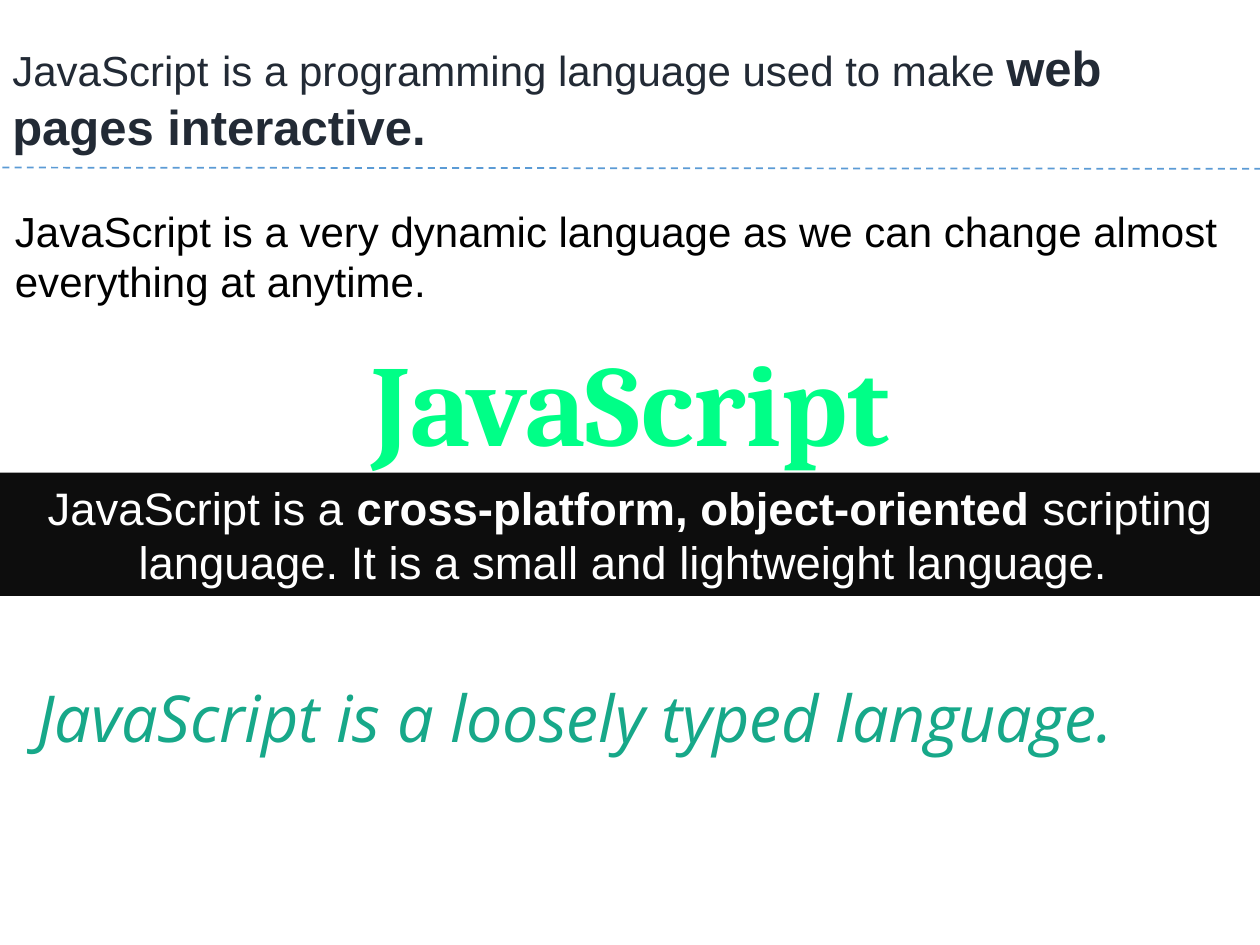
from pptx import Presentation
from pptx.dml.color import RGBColor
from pptx.enum.dml import MSO_LINE_DASH_STYLE as Dash
from pptx.enum.shapes import MSO_CONNECTOR as Connector, MSO_SHAPE as Shape
from pptx.enum.text import MSO_ANCHOR as Anchor, PP_ALIGN as Align
from pptx.oxml.ns import qn
from pptx.util import Inches, Pt
from lxml.etree import SubElement

COLUMNS, ROWS = 100, 75
WIDTH, HEIGHT = Inches(10), Inches(7.5)


def color(value):
    """Turn a hex string into a colour."""
    return RGBColor.from_string(value)


def grid(column, row):
    """Turn grid columns and rows into slide lengths."""
    return int(WIDTH * column / COLUMNS), int(HEIGHT * row / ROWS)


def write(shape, pieces, font, ink, align=Align.LEFT, anchor=Anchor.TOP, italic=False):
    """Fill a shape with one paragraph of (text, size, bold) pieces."""
    frame = shape.text_frame
    frame.word_wrap = True
    frame.vertical_anchor = anchor
    paragraph = frame.paragraphs[0]
    paragraph.alignment = align
    paragraph.line_spacing = 1.0
    for text, size, bold in pieces:
        run = paragraph.add_run()
        run.text = text
        run.font.name, run.font.size = font, Pt(size)
        run.font.bold, run.font.italic = bold, italic
        run.font.color.rgb = color(ink)


def add_title(slide, position, size, text):
    """Place the large centred title."""
    title = slide.shapes.title
    title.left, title.top = grid(*position)
    title.width, title.height = grid(*size)
    write(title, [(text, 66, True)], "Cambria", "00FF87", Align.CENTER)


def add_band(slide, position, size, pieces):
    """Add a dark full-width band with centred text."""
    band = slide.shapes.add_shape(Shape.RECTANGLE, *grid(*position), *grid(*size))
    band.shadow.inherit = False
    band.fill.solid()
    band.fill.fore_color.rgb = color("0D0D0D")
    band.line.fill.background()
    write(band, pieces, "Arial", "FFFFFF", Align.CENTER, Anchor.MIDDLE)


def add_statement(slide, position, size, pieces, font, ink, italic=False):
    """Add a left-aligned statement."""
    box = slide.shapes.add_textbox(*grid(*position), *grid(*size))
    write(box, pieces, font, ink, italic=italic)


def add_divider(slide, start, end):
    """Add a thin dashed line."""
    divider = slide.shapes.add_connector(Connector.STRAIGHT, *grid(*start), *grid(*end))
    divider.line.color.rgb = color("5B9BD5")
    divider.line.width = Pt(1)
    divider.line.dash_style = Dash.DASH
    SubElement(divider.element.spPr, qn("a:effectLst"))


def main():
    """Build and save the slide."""
    presentation = Presentation()
    presentation.slide_width, presentation.slide_height = WIDTH, HEIGHT
    slide = presentation.slides.add_slide(presentation.slide_layouts[5])
    add_title(slide, (1.7, 25.8), (96.7, 10), "JavaScript")
    add_band(slide, (0, 37.5), (100, 9.8), [
        ("JavaScript is a ", 26, False),
        ("cross-platform, object-oriented ", 26, True),
        ("scripting language. It is a small and lightweight language. ", 26, False),
    ])
    add_statement(slide, (0, 2.5), (100, 10.4), [
        ("JavaScript", 24, False),
        (" ", 28, False),
        ("is a programming language used to make ", 24, False),
        ("web pages interactive.", 28, True),
    ], "Arial", "222A35")
    add_statement(slide, (0.2, 15.8), (97.5, 9.1), [
        ("JavaScript is a very dynamic language as we can change almost "
         "everything at anytime.", 24, False),
    ], "Arial", "000000")
    add_statement(slide, (2, 53.3), (96.3, 7.2), [
        ("JavaScript is a loosely typed language.", 37, False),
    ], "Open Sans", "17A889", italic=True)
    add_divider(slide, (0.2, 13.3), (100, 13.4))
    presentation.save("out.pptx")


if __name__ == "__main__":
    main()
